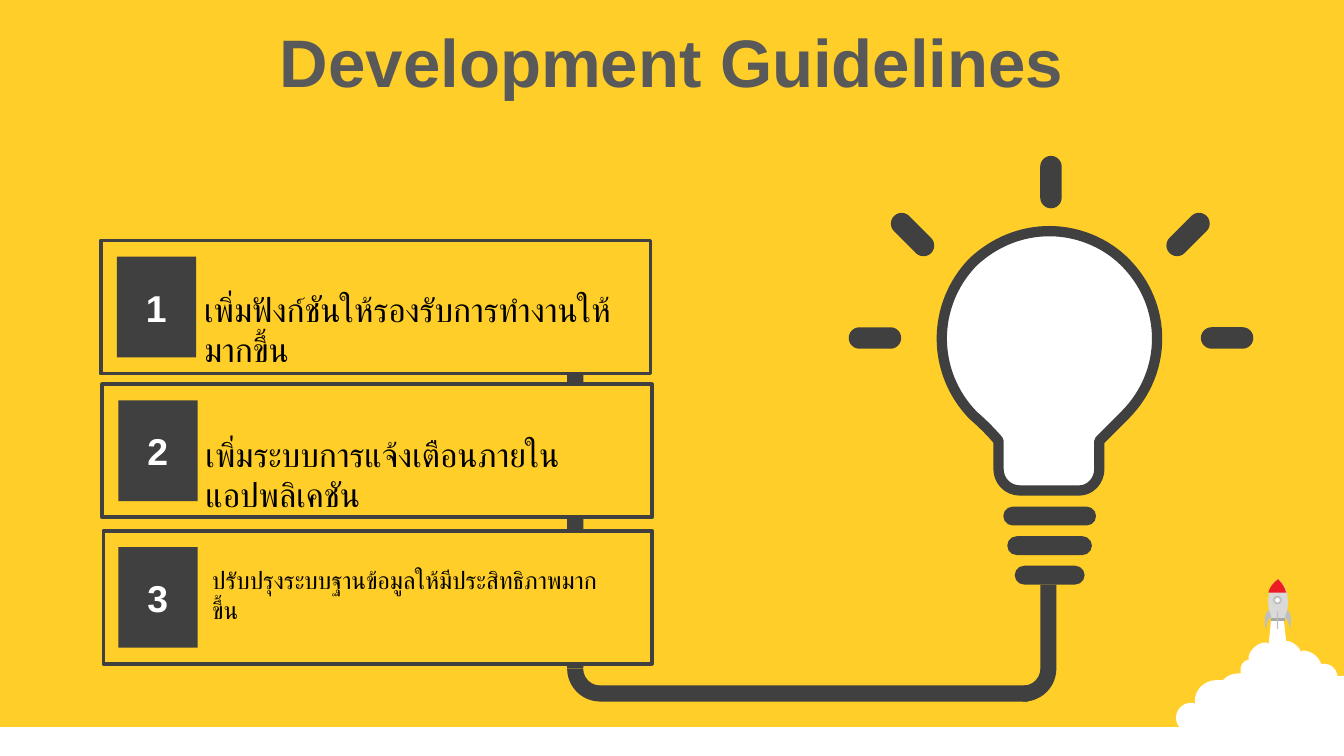
from lxml import etree
from pptx import Presentation
from pptx.dml.color import RGBColor
from pptx.enum.shapes import MSO_SHAPE as Shape
from pptx.enum.text import MSO_ANCHOR as Anchor, PP_ALIGN as Align
from pptx.oxml.ns import qn
from pptx.util import Pt

PX = 9144  # 100 px to the inch
WIDTH = 1000
FONT = "Arial"
COLORS = {
    "yellow": "FFCE29", "dark": "404040", "title": "595959", "white": "FFFFFF",
    "black": "000000", "body": "D9D9D9", "base": "A6A6A6", "nose": "ED1C24",
    "fin": "BFBFBF",
}

# Content: card box, text, size, text box
TITLE = "Development Guidelines"
GUIDELINES = [
    ((75, 179, 409, 99), "เพิ่มฟังก์ชันให้รองรับการทำงานให้มากขึ้น", 18, (142, 210, 330, 40)),
    ((76, 286, 409, 99), "เพิ่มระบบการแจ้งเตือนภายในแอปพลิเคชัน", 18, (143, 318, 315, 40)),
    ((77, 395, 408, 99), "ปรับปรุงระบบฐานข้อมูลให้มีประสิทธิภาพมากขึ้น", 13, (148, 416, 315, 71)),
]

# Outlines: a pair is a corner, six numbers are a cubic curve
CLOUD = [
    (946, 459), (955, 459), (957, 477), (959, 477), (962, 478, 965, 480, 967, 483),
    (968, 485), (969, 484), (975, 484, 981, 488, 983, 494), (983, 494), (984, 494),
    (984, 494, 985, 494, 986, 494), (990, 494, 994, 497, 995, 502), (995, 503),
    (998, 503), (1000, 503), (1000, 560),
    (998, 560), (994, 560, 990, 559, 987, 557), (986, 556), (985, 557),
    (983, 558, 981, 559, 978, 559), (975, 559, 973, 557, 971, 555), (969, 554),
    (969, 555), (967, 558, 964, 559, 960, 559), (957, 559, 954, 558, 952, 556),
    (951, 555), (949, 556), (945, 559, 940, 561, 934, 561),
    (923, 561, 917, 556, 913, 551), (911, 553, 907, 554, 904, 553),
    (900, 552, 894, 550, 893, 545), (893, 543), (892, 544),
    (891, 545, 889, 545, 886, 545), (880, 545, 875, 540, 875, 534),
    (875, 528, 880, 523, 886, 523), (887, 523, 888, 523, 888, 523), (889, 524),
    (889, 522), (889, 513, 896, 506, 906, 506), (907, 506, 908, 506, 909, 506),
    (910, 506), (911, 505), (914, 502, 918, 501, 923, 501), (923, 501), (923, 499),
    (923, 499, 923, 499, 923, 498), (923, 495, 925, 492, 928, 491),
    (929, 491), (929, 489), (930, 483, 936, 478, 942, 478), (944, 479),
]
ROCKET = [
    ("body", [(946, 462), (944, 453, 940, 440, 951, 431), (962, 441, 958, 454, 956, 462)]),
    ("base", [(946, 460), (956, 460), (956, 462), (946, 462)]),
    ("nose", [(951, 431), (954, 434, 956, 437, 957, 441), (944, 441), (944, 440),
              (945, 437, 947, 434, 951, 431)]),
]
FINS = [
    [(944, 454), (946, 459), (942, 461, 943, 466, 942, 468), (941, 465, 940, 457, 944, 454)],
    [(958, 454), (956, 459), (959, 461, 959, 466, 960, 468), (960, 465, 962, 457, 958, 454)],
]
BULB = [
    (781, 172), (801, 172, 822, 180, 837, 195), (869, 227, 869, 277, 837, 309),
    (818, 328), (818, 349), (818, 358, 811, 365, 803, 365), (781, 365), (780, 365),
    (759, 365), (750, 365, 743, 358, 743, 349), (743, 328),
    (737, 321, 731, 315, 724, 309), (693, 277, 693, 227, 724, 195),
    (740, 180, 760, 172, 781, 172),
]
BULB_CENTER = 781
SCREW_BARS = [(377, 69), (399, 63), (421, 52)]  # top, width
RAYS = [(876, 155, 45), (671, 155, 315), (774, 116, 0), (905, 232, 90), (643, 232, 270)]
CABLE_RUNS = [(422, 194, 12, 303), (446, 510, 319, 12), (774, 435, 12, 63)]
CABLE_BENDS = [(422, 473, 0), (737, 473, 270)]

presentation = Presentation()
presentation.slide_width = WIDTH * PX
presentation.slide_height = WIDTH * PX * 9 // 16
slide = presentation.slides.add_slide(presentation.slide_layouts[6])


def rgb(name):
    return RGBColor.from_string(COLORS[name])


def paint(shape, fill, line=None, width=1):
    shape.shadow.inherit = False
    shape.fill.solid()
    shape.fill.fore_color.rgb = rgb(fill)
    if line:
        shape.line.color.rgb = rgb(line)
        shape.line.width = Pt(width)
    else:
        shape.line.fill.background()
    return shape


def add_preset(kind, box, fill, line=None, width=1, rotation=0, adjust=()):
    shape = slide.shapes.add_shape(kind, *(round(value * PX) for value in box))
    for index, value in enumerate(adjust):
        shape.adjustments[index] = value
    shape.rotation = rotation
    return paint(shape, fill, line, width)


def add_outline(outline, fill, line=None, width=1):
    ends = [(segment[-2] * PX, segment[-1] * PX) for segment in outline]
    builder = slide.shapes.build_freeform(*ends[0], scale=1.0)
    builder.add_line_segments(ends[1:], close=True)
    shape = builder.convert_to_shape()
    # Turn the straight segments with control points into cubic curves
    segments = list(shape.element.iter(qn("a:lnTo")))
    for segment, values in zip(segments, outline[1:]):
        if len(values) == 6:
            curve = etree.Element(qn("a:cubicBezTo"))
            for x, y in zip(values[::2], values[1::2]):
                etree.SubElement(curve, qn("a:pt"), x=str(x * PX - shape.left),
                                 y=str(y * PX - shape.top))
            segment.getparent().replace(segment, curve)
    return paint(shape, fill, line, width)


def add_text(text, box, size, color, bold=False, align=Align.LEFT, anchor=Anchor.TOP, wrap=True):
    frame = slide.shapes.add_textbox(*(value * PX for value in box)).text_frame
    frame.word_wrap = wrap
    frame.vertical_anchor = anchor
    paragraph = frame.paragraphs[0]
    paragraph.alignment = align
    run = paragraph.add_run()
    run.text = text
    run.font.name = FONT
    run.font.size = Pt(size)
    run.font.bold = bold
    run.font.color.rgb = rgb(color)


# Background and ground strip
slide.background.fill.solid()
slide.background.fill.fore_color.rgb = rgb("yellow")
add_preset(Shape.RECTANGLE, (0, 541, WIDTH, 22), "white")

# Rocket on its cloud
add_outline(CLOUD, "white")
for color, outline in ROCKET:
    add_outline(outline, color)
add_preset(Shape.OVAL, (948, 444, 5, 5), "white", "fin")
add_preset(Shape.RECTANGLE, (950, 455, 1, 13), "fin")
for outline in FINS:
    add_outline(outline, "fin")

add_text(TITLE, (0, 14, WIDTH, 63), 36, "title", True, Align.CENTER, Anchor.MIDDLE)

# Cable from the cards to the bulb
for box in CABLE_RUNS:
    add_preset(Shape.RECTANGLE, box, "dark")
for left, top, rotation in CABLE_BENDS:
    add_preset(Shape.BLOCK_ARC, (left, top, 49, 49), "dark", rotation=rotation,
               adjust=(54.318, 108.171, 0.243))

# Numbered cards
for number, (card, text, size, text_box) in enumerate(GUIDELINES, 1):
    left, top = min(card[0], 76), card[1]
    add_preset(Shape.RECTANGLE, card, "yellow", "dark", 2)
    add_preset(Shape.RECTANGLE, (left + 12, top + 12, 59, 75), "dark")
    add_text(text, text_box, size, "black")
    add_text(str(number), (left + 23, top + 28, 36, 44), 20, "white", True,
             Align.RIGHT, wrap=False)

# Light bulb, screw base and rays
add_outline(BULB, "white", "dark", 5.5)
for top, width in SCREW_BARS:
    add_preset(Shape.ROUNDED_RECTANGLE, (BULB_CENTER - width / 2, top, width, 14), "dark",
               adjust=(0.5,))
for left, top, rotation in RAYS:
    add_preset(Shape.ROUNDED_RECTANGLE, (left, top, 16, 39), "dark", rotation=rotation,
               adjust=(0.5,))

presentation.save("out.pptx")
